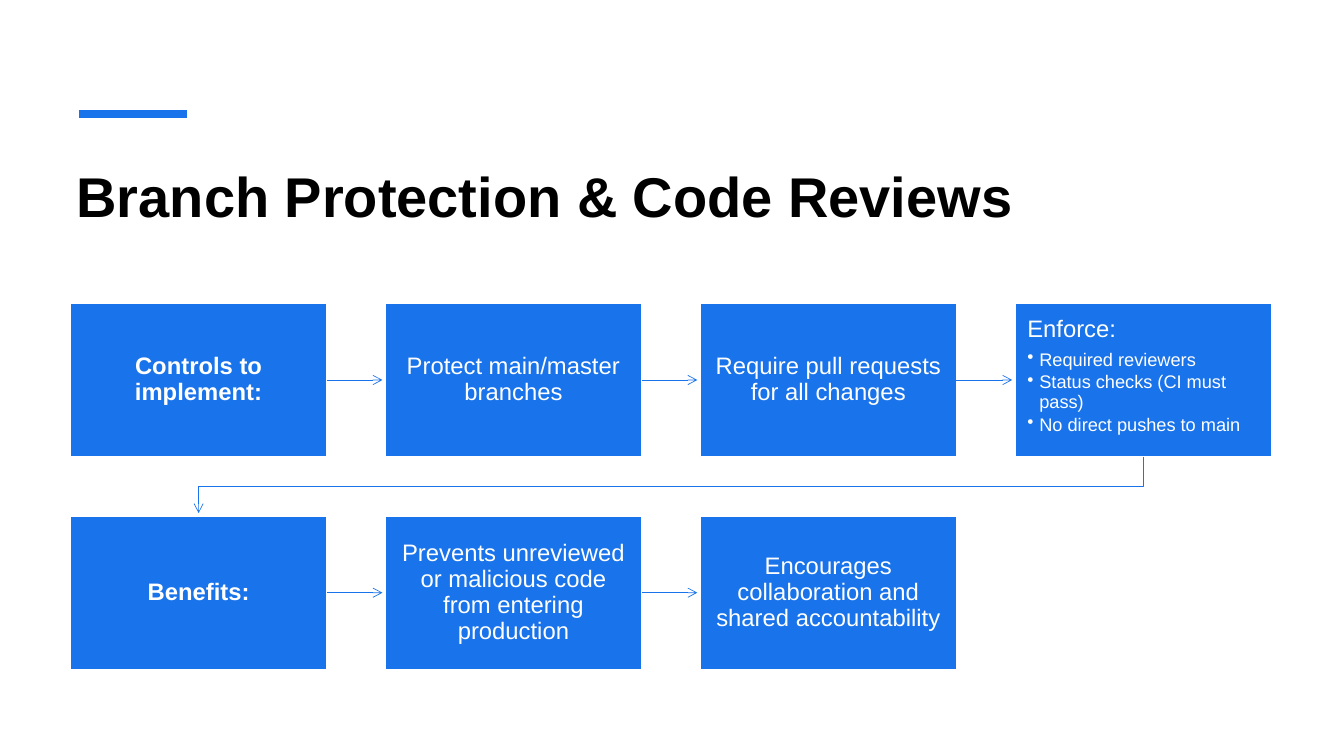
from lxml.etree import SubElement
from pptx import Presentation
from pptx.dml.color import RGBColor
from pptx.enum.shapes import MSO_CONNECTOR, MSO_SHAPE
from pptx.enum.text import MSO_ANCHOR, PP_ALIGN
from pptx.oxml.ns import qn
from pptx.util import Inches, Pt

BLUE, WHITE, BLACK = "1973EB", "FFFFFF", "000000"


def color(hex_code):
    return RGBColor.from_string(hex_code)


class FlowSlide:
    """Draws a titled flow of boxes on a grid of columns and rows."""

    font = "Arial"
    left, top = 0.7, 3.01
    box_width, box_height = 2.54, 1.52
    column_step, row_step = 3.123, 2.11
    tip_gap = 0.03

    def __init__(self, slide):
        self.slide = slide
        self.shapes = slide.shapes

    def corner(self, column, row):
        return self.left + column * self.column_step, self.top + row * self.row_step

    def style(self, paragraph, size, hex_code, bold=False):
        for run in paragraph.runs:
            run.font.name = self.font
            run.font.size = Pt(size)
            run.font.bold = bold
            run.font.color.rgb = color(hex_code)

    def pad(self, frame, across, down):
        frame.word_wrap = True
        frame.margin_left = frame.margin_right = Inches(across)
        frame.margin_top = frame.margin_bottom = Inches(down)

    def accent(self, x, y, width):
        bar = self.shapes.add_connector(
            MSO_CONNECTOR.STRAIGHT, Inches(x), Inches(y), Inches(x + width), Inches(y))
        bar.line.color.rgb = color(BLUE)
        bar.line.width = Pt(6)
        SubElement(bar._element.spPr, qn("a:effectLst"))

    def title(self, text):
        heading = self.shapes.add_textbox(
            Inches(self.left), Inches(1.5), Inches(11.91), Inches(1.2))
        frame = heading.text_frame
        self.pad(frame, 0.06, 0.1)
        frame.text = text
        self.style(frame.paragraphs[0], 40, BLACK, bold=True)

    def box(self, column, row, text, bold=False, bullets=()):
        x, y = self.corner(column, row)
        step = self.shapes.add_shape(
            MSO_SHAPE.RECTANGLE, Inches(x), Inches(y),
            Inches(self.box_width), Inches(self.box_height))
        step.shadow.inherit = False
        step.fill.solid()
        step.fill.fore_color.rgb = color(BLUE)
        step.line.color.rgb = color(WHITE)
        step.line.width = Pt(1)
        frame = step.text_frame
        self.pad(frame, 0.12, 0.13)
        frame.vertical_anchor = MSO_ANCHOR.TOP if bullets else MSO_ANCHOR.MIDDLE
        lead = frame.paragraphs[0]
        lead.text = text
        lead.alignment = PP_ALIGN.LEFT if bullets else PP_ALIGN.CENTER
        lead.line_spacing = 0.9
        lead.space_after = Pt(6)
        self.style(lead, 17, WHITE, bold)
        for rule in bullets:
            self.bullet(frame.add_paragraph(), rule)
        return step

    def bullet(self, paragraph, text):
        paragraph.text = text
        paragraph.level = 1
        paragraph.alignment = PP_ALIGN.LEFT
        paragraph.line_spacing = 0.9
        paragraph.space_after = Pt(2)
        properties = paragraph._p.get_or_add_pPr()
        properties.set("marL", str(Inches(0.12)))
        properties.set("indent", str(-Inches(0.12)))
        SubElement(properties, qn("a:buChar"), char="•")
        self.style(paragraph, 13, WHITE)

    def arrow_line(self, shape):
        shape.line.color.rgb = color(BLUE)
        shape.line.width = Pt(0.5)
        SubElement(shape.line._get_or_add_ln(), qn("a:tailEnd"), type="arrow")

    def arrow(self, step, column, row):
        x, y = self.corner(column, row)
        middle = Inches(y + self.box_height / 2)
        link = self.shapes.add_connector(
            MSO_CONNECTOR.STRAIGHT, Inches(x + self.box_width), middle,
            Inches(x + self.column_step - self.tip_gap), middle)
        link.begin_connect(step, 3)
        self.arrow_line(link)
        SubElement(link._element.spPr, qn("a:effectLst"))

    def return_arrow(self, from_column, to_column):
        start_x, start_y = self.corner(from_column, 0)
        end_x, end_y = self.corner(to_column, 1)
        start_x += self.box_width / 2
        end_x += self.box_width / 2
        start_y += self.box_height
        turn_y = (start_y + end_y) / 2
        route = self.shapes.build_freeform(Inches(start_x), Inches(start_y))
        corners = [(start_x, turn_y), (end_x, turn_y), (end_x, end_y - self.tip_gap)]
        route.add_line_segments([(Inches(x), Inches(y)) for x, y in corners], close=False)
        path_back = route.convert_to_shape()
        path_back.shadow.inherit = False
        path_back.fill.background()
        self.arrow_line(path_back)


def main():
    deck = Presentation()
    deck.slide_width, deck.slide_height = Inches(13.33), Inches(7.5)
    flow = FlowSlide(deck.slides.add_slide(deck.slide_layouts[6]))
    flow.accent(0.78, 1.13, 1.07)
    flow.title("Branch Protection & Code Reviews")

    enforced = ("Required reviewers", "Status checks (CI must pass)",
                "No direct pushes to main")
    rows = [
        [("Controls to implement:", ()), ("Protect main/master branches", ()),
         ("Require pull requests for all changes", ()), ("Enforce:", enforced)],
        [("Benefits:", ()),
         ("Prevents unreviewed or malicious code from entering production", ()),
         ("Encourages collaboration and shared accountability", ())],
    ]
    for row, steps in enumerate(rows):
        for column, (text, bullets) in enumerate(steps):
            step = flow.box(column, row, text, bold=column == 0, bullets=bullets)
            if column < len(steps) - 1:
                flow.arrow(step, column, row)
    flow.return_arrow(3, 0)
    deck.save("out.pptx")


if __name__ == "__main__":
    main()
